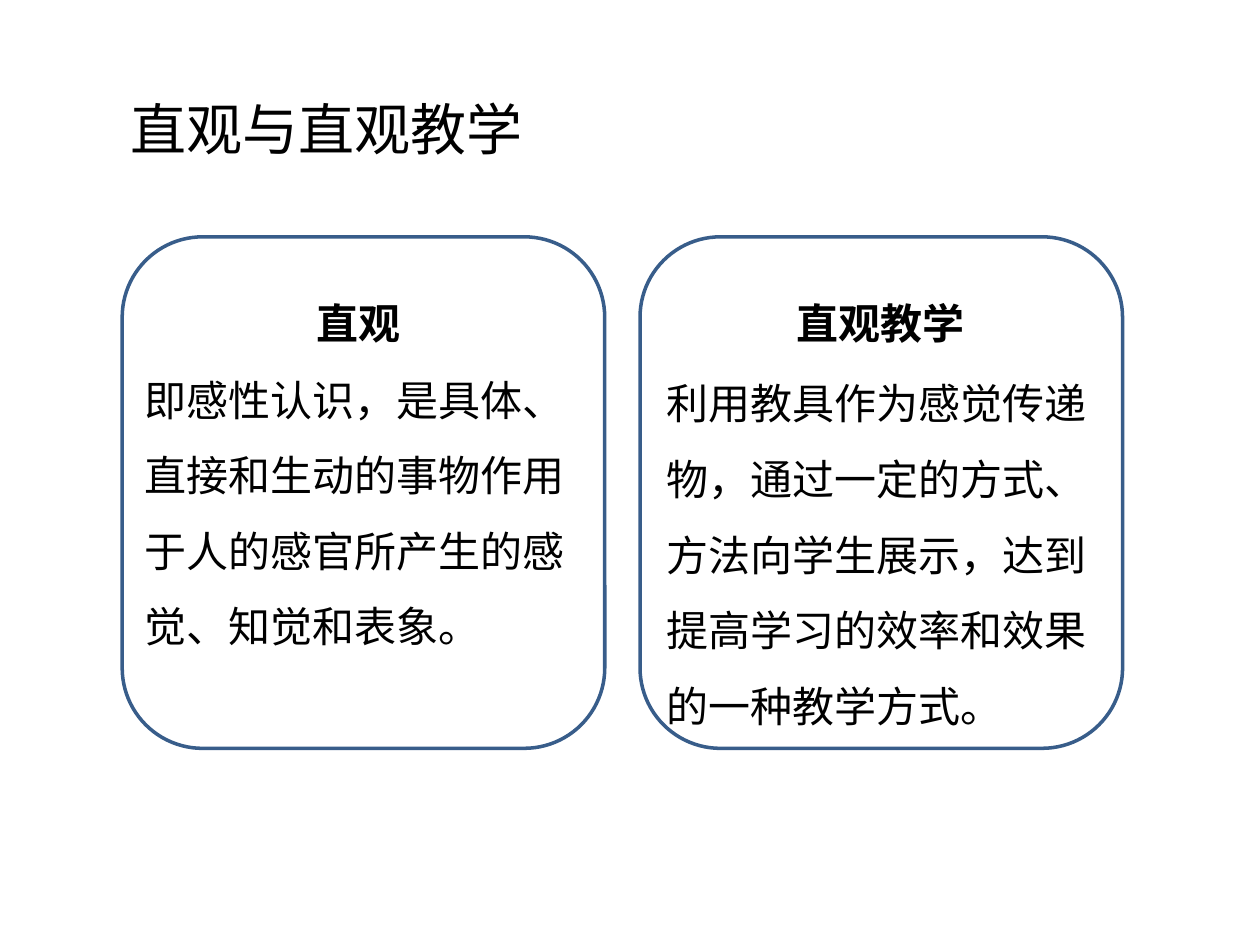
from dataclasses import dataclass

from lxml import etree
from pptx import Presentation
from pptx.dml.color import RGBColor
from pptx.enum.shapes import MSO_SHAPE
from pptx.enum.text import PP_ALIGN
from pptx.oxml.ns import qn
from pptx.util import Inches, Pt

ROUNDED = MSO_SHAPE.ROUNDED_RECTANGLE
LEFT, CENTER = PP_ALIGN.LEFT, PP_ALIGN.CENTER


@dataclass(frozen=True)
class Theme:
    ink: RGBColor = RGBColor(0x00, 0x00, 0x00)
    outline: RGBColor = RGBColor(0x38, 0x5D, 0x8A)
    outline_width: float = 2
    latin_font: str = "Arial"
    chinese_font: str = "Noto Sans CJK SC"
    title_size: int = 32
    card_size: int = 24


THEME = Theme()
SLIDE_WIDTH, SLIDE_HEIGHT = 10, 7.5

# Grid in inches: two columns, with a frame and a text area in each
FRAME_LEFT, FRAME_TOP, FRAME_PITCH = 0.97, 1.88, 4.11
FRAME_WIDTH, FRAME_HEIGHT = 3.83, 4.06
TEXT_LEFT, TEXT_PITCH, TEXT_WIDTH = 1.05, 4.14, 3.59
HEADING_TOP, HEADING_HEIGHT = 2.11, 0.7

TITLE = "直观与直观教学"
# Heading, definition, top and height of the definition
CARDS = [
    ("直观",
     "即感性认识，是具体、直接和生动的事物作用于人的感官所产生的感觉、知觉和表象。",
     2.72, 2.5),
    ("直观教学",
     "利用教具作为感觉传递物，通过一定的方式、方法向学生展示，"
     "达到提高学习的效率和效果的一种教学方式。",
     2.75, 3.1),
]


def add_text(slide, text, box, size, font=THEME.latin_font, bold=False,
             align=LEFT, line_spacing=1.0):
    frame = slide.shapes.add_textbox(*map(Inches, box)).text_frame
    frame.word_wrap = True
    frame.text = text
    paragraph = frame.paragraphs[0]
    paragraph.alignment = align
    paragraph.line_spacing = line_spacing
    run = paragraph.runs[0]
    run.font.size = Pt(size)
    run.font.bold = bold
    run.font.color.rgb = THEME.ink
    run.font.name = font
    east_asian = etree.SubElement(run.font._element, qn("a:ea"))
    east_asian.set("typeface", THEME.chinese_font)


def add_frame(slide, box):
    frame = slide.shapes.add_shape(ROUNDED, *map(Inches, box))
    frame.shadow.inherit = False
    frame.fill.background()
    frame.line.color.rgb = THEME.outline
    frame.line.width = Pt(THEME.outline_width)


def add_card(slide, column, heading, definition, body_top, body_height):
    """Draw one framed term with its definition in the given column."""
    text_left = TEXT_LEFT + column * TEXT_PITCH
    add_text(slide, heading,
             (text_left, HEADING_TOP, TEXT_WIDTH, HEADING_HEIGHT),
             THEME.card_size, bold=True, align=CENTER, line_spacing=1.5)
    add_text(slide, definition,
             (text_left, body_top, TEXT_WIDTH, body_height),
             THEME.card_size, line_spacing=1.5)
    add_frame(slide, (FRAME_LEFT + column * FRAME_PITCH, FRAME_TOP,
                      FRAME_WIDTH, FRAME_HEIGHT))


def main():
    deck = Presentation()
    deck.slide_width = Inches(SLIDE_WIDTH)
    deck.slide_height = Inches(SLIDE_HEIGHT)
    slide = deck.slides.add_slide(deck.slide_layouts[6])
    add_text(slide, TITLE, (0.94, 0.7, 7.97, 0.64), THEME.title_size,
             font=THEME.chinese_font)
    for column, card in enumerate(CARDS):
        add_card(slide, column, *card)
    deck.save("out.pptx")


if __name__ == "__main__":
    main()
